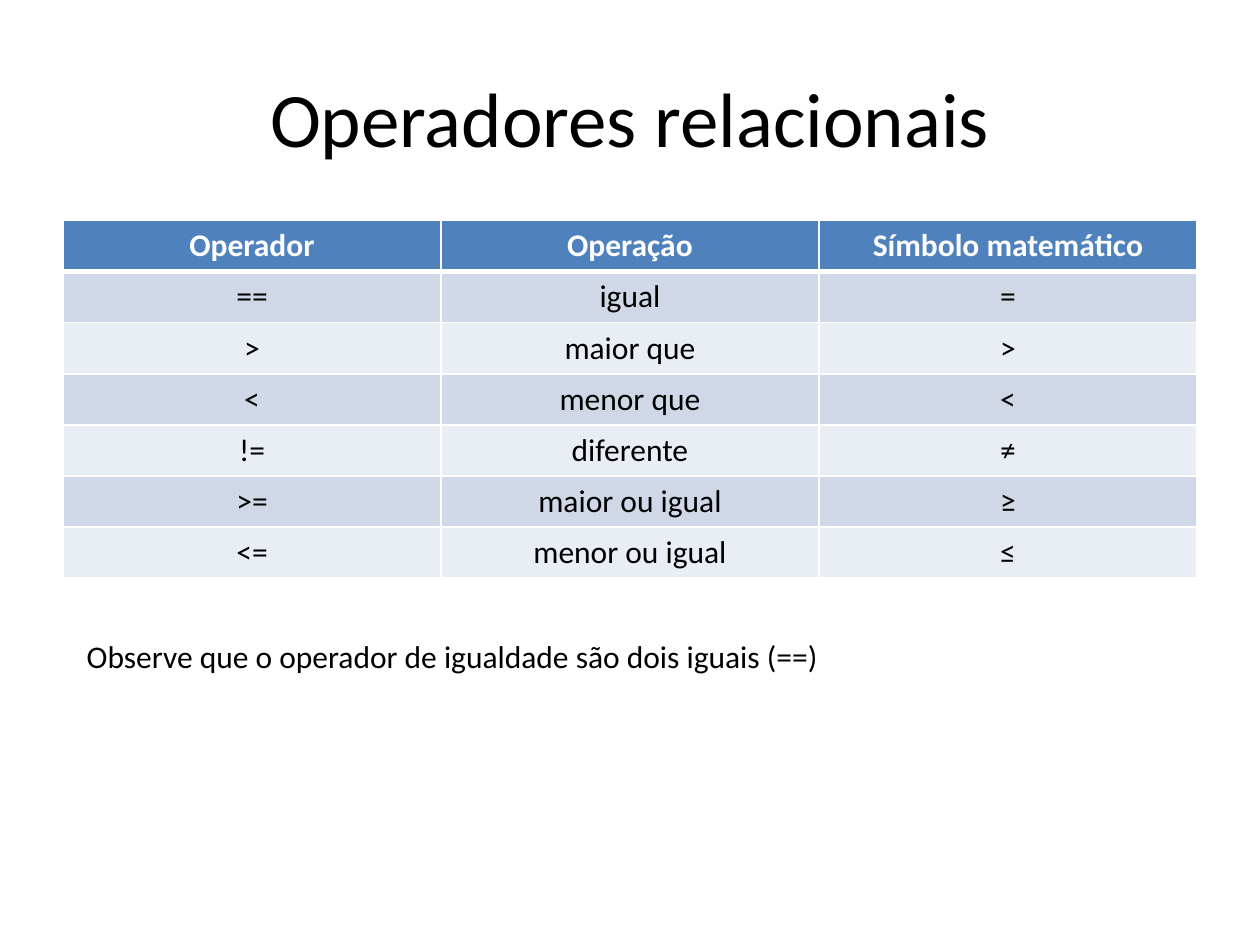
from lxml import etree
from pptx import Presentation
from pptx.dml.color import RGBColor
from pptx.enum.text import MSO_ANCHOR, MSO_AUTO_SIZE, PP_ALIGN
from pptx.oxml.ns import qn
from pptx.util import Inches, Pt

COLORS = {
    "text": "000000",
    "header_text": "FFFFFF",
    "header": "4F81BD",
    "odd_row": "D0D8E8",
    "even_row": "E9EDF4",
    "border": "FFFFFF",
}

OPERATORS = [
    ("Operador", "Operação", "Símbolo matemático"),
    ("==", "igual", "="),
    (">", "maior que", ">"),
    ("<", "menor que", "<"),
    ("!=", "diferente", "≠"),
    (">=", "maior ou igual", "≥"),
    ("<=", "menor ou igual", "≤"),
]


class SlideBuilder:
    font = "Calibri"
    title_size = 44
    body_size = 18

    def __init__(self, presentation):
        self.slide = presentation.slides.add_slide(presentation.slide_layouts[5])

    def add_text_run(self, text_frame, text, size, color="text", bold=False,
                     align=PP_ALIGN.LEFT):
        paragraph = text_frame.paragraphs[0]
        paragraph.alignment = align
        run = paragraph.add_run()
        run.text = text
        run.font.name = self.font
        run.font.size = Pt(size)
        run.font.bold = bold
        run.font.color.rgb = RGBColor.from_string(COLORS[color])

    def add_title(self, text, left, top, width, height):
        shape = self.slide.shapes.title
        shape.left, shape.top = Inches(left), Inches(top)
        shape.width, shape.height = Inches(width), Inches(height)
        shape.text_frame.vertical_anchor = MSO_ANCHOR.MIDDLE
        self.add_text_run(shape.text_frame, text, self.title_size,
                          align=PP_ALIGN.CENTER)

    def add_note(self, text, left, top, width, height):
        shape = self.slide.shapes.add_textbox(
            Inches(left), Inches(top), Inches(width), Inches(height))
        shape.text_frame.word_wrap = True
        shape.text_frame.auto_size = MSO_AUTO_SIZE.SHAPE_TO_FIT_TEXT
        self.add_text_run(shape.text_frame, text, self.body_size)

    def set_borders(self, cell, widths):
        properties = cell._tc.get_or_add_tcPr()
        for position, (side, width) in enumerate(widths.items()):
            line = etree.Element(qn(f"a:{side}"), w=str(Pt(width)))
            fill = etree.SubElement(line, qn("a:solidFill"))
            etree.SubElement(fill, qn("a:srgbClr"), val=COLORS["border"])
            properties.insert(position, line)

    def add_table(self, rows, left, top, width, height):
        table = self.slide.shapes.add_table(
            len(rows), len(rows[0]), Inches(left), Inches(top),
            Inches(width), Inches(height)).table
        for row_index, row in enumerate(rows):
            header = row_index == 0
            fill = "header" if header else ("even_row", "odd_row")[row_index % 2]
            widths = {"lnL": 1, "lnR": 1, "lnT": 3 if row_index == 1 else 1,
                      "lnB": 3 if header else 1}
            for column_index, text in enumerate(row):
                cell = table.cell(row_index, column_index)
                cell.fill.solid()
                cell.fill.fore_color.rgb = RGBColor.from_string(COLORS[fill])
                self.set_borders(cell, widths)
                self.add_text_run(cell.text_frame, text, self.body_size,
                                  "header_text" if header else "text", header,
                                  PP_ALIGN.CENTER)


def main():
    presentation = Presentation()
    presentation.slide_width = Inches(10)
    presentation.slide_height = Inches(7.5)
    builder = SlideBuilder(presentation)

    # Title
    builder.add_title("Operadores relacionais", 0.5, 0.3, 9, 1.25)

    # Operator table
    builder.add_table(OPERATORS, 0.5, 1.75, 9, 2.84)

    # Note below the table
    builder.add_note("Observe que o operador de igualdade são dois iguais (==)",
                     0.59, 5.01, 7.17, 0.4)

    presentation.save("out.pptx")


if __name__ == "__main__":
    main()
